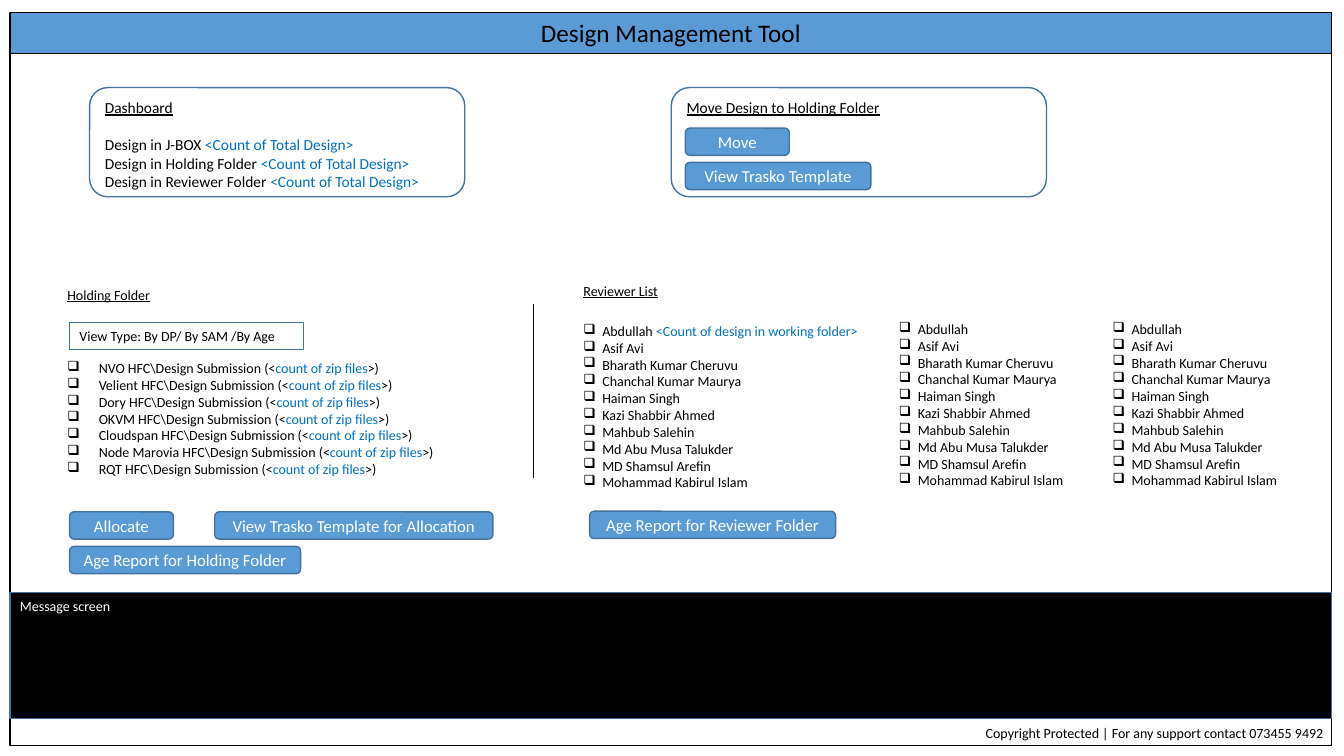
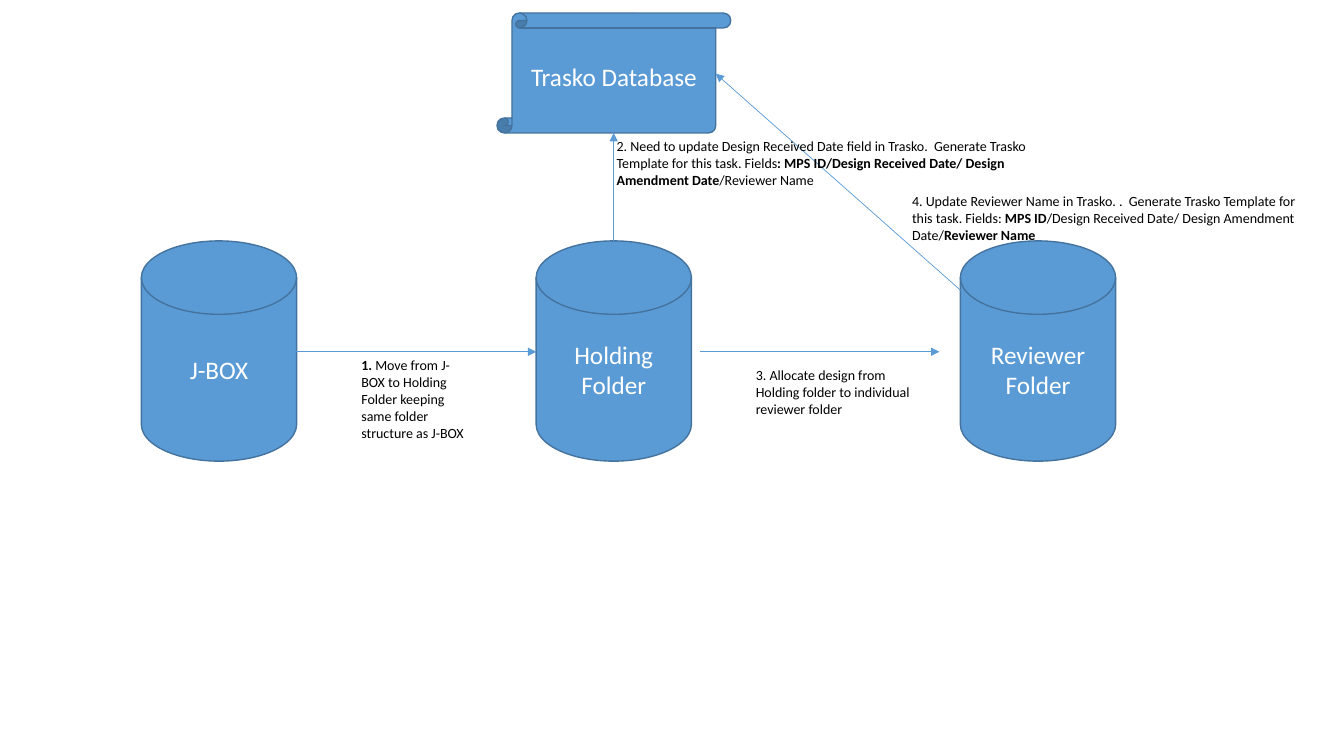
from lxml import etree
from pptx import Presentation
from pptx.dml.color import RGBColor
from pptx.enum.shapes import MSO_CONNECTOR, MSO_SHAPE
from pptx.enum.text import MSO_ANCHOR, PP_ALIGN
from pptx.oxml.ns import qn
from pptx.util import Pt

RECTANGLE = MSO_SHAPE.RECTANGLE
ROUNDED = MSO_SHAPE.ROUNDED_RECTANGLE
DISK = MSO_SHAPE.FLOWCHART_MAGNETIC_DISK
SCROLL = MSO_SHAPE.VERTICAL_SCROLL
STRAIGHT = MSO_CONNECTOR.STRAIGHT
TOP, MIDDLE = MSO_ANCHOR.TOP, MSO_ANCHOR.MIDDLE
LEFT, CENTER = PP_ALIGN.LEFT, PP_ALIGN.CENTER

BLACK = RGBColor(0x00, 0x00, 0x00)
WHITE = RGBColor(0xFF, 0xFF, 0xFF)
BLUE = RGBColor(0x5B, 0x9B, 0xD5)
OUTLINE = RGBColor(0x43, 0x73, 0x9E)
ACCENT = RGBColor(0x00, 0x70, 0xC0)

FONT = "Calibri"
SMALL, CARD, BUTTON, LARGE = 10, 11, 12, 18
CHECKBOX = "❑"
ROW_HEIGHT = 19.5

PLAIN = {}
BOLD = {"bold": True}
UNDERLINED = {"underline": True}
COUNT = {"color": ACCENT}

TITLE = "Design Management Tool"
COPYRIGHT = "Copyright Protected | For any support contact 073455 9492"
MESSAGE = "Message screen"
DASHBOARD = [[("Dashboard", UNDERLINED)]] + [
    [(f"Design in {place} ", PLAIN), ("<Count of Total Design>", COUNT)]
    for place in ("J-BOX", "Holding Folder", "Reviewer Folder")
]
MOVE_DESIGN = [[("Move Design to Holding Folder", UNDERLINED)]]
VIEW_TYPE = "View Type: By DP/ By SAM /By Age"
SUBMITTERS = ["NVO", "Velient", "Dory", "OKVM", "Cloudspan", "Node Marovia", "RQT"]
REVIEWERS = [
    "Abdullah", "Asif Avi", "Bharath Kumar Cheruvu", "Chanchal Kumar Maurya",
    "Haiman Singh", "Kazi Shabbir Ahmed", "Mahbub Salehin",
    "Md Abu Musa Talukder", "MD Shamsul Arefin", "Mohammad Kabirul Islam",
]
REVIEWER_COUNT = ("<Count of design in working folder>", COUNT)
REVIEWER_COLUMNS = [
    (409.7, 226.8, 232.6, [REVIEWER_COUNT]),
    (635, 225.4, 148.5, []),
    (787.7, 225.4, 148.5, []),
]
HEADINGS = [("Holding Folder", 41, 200.9), ("Reviewer List", 409.7, 198)]
BUTTONS = [
    ("Move", 489.6, 91.5, 74.2),
    ("View Trasko Template", 489.6, 116, 132.5),
    ("Allocate", 49.7, 365.6, 74.2),
    ("Age Report for Holding Folder", 49.7, 390.3, 165),
    ("Age Report for Reviewer Folder", 421.2, 365.2, 175.7),
    ("View Trasko Template for Allocation", 153.4, 365.6, 198.7),
]

STORES = [("J-BOX", 101), ("Holding Folder", 383), ("Reviewer Folder", 686)]
DATABASE = ("Trasko Database", (355, 9.3, 167, 85.7))
FLOWS = [
    (211.7, 251.3, 383, 251.3),
    (438.4, 172.1, 438.4, 95),
    (499.7, 251.3, 671, 251.3),
    (686.2, 207.4, 511.2, 52.6),
]
STEPS = [
    ((251, 251.3, 93, 68), [
        ("1. ", BOLD),
        ("Move from J-BOX to Holding Folder keeping same folder structure as J-BOX", PLAIN),
    ]),
    ((433.4, 95, 324, 44), [
        ("2. Need to update Design Received Date field in Trasko.  "
         "Generate Trasko Template for this task. Fields", PLAIN),
        (": MPS ID/Design Received Date/ Design Amendment Date", BOLD),
        ("/Reviewer Name", PLAIN),
    ]),
    ((532.8, 258.5, 125.3, 44), [
        ("3. Allocate design from Holding folder to individual reviewer folder", PLAIN),
    ]),
    ((644.4, 133.9, 296, 44), [
        ("4. Update Reviewer Name in Trasko. .  "
         "Generate Trasko Template for this task. Fields: ", PLAIN),
        ("MPS ID", BOLD),
        ("/Design Received Date/ Design Amendment Date/", PLAIN),
        ("Reviewer Name", BOLD),
    ]),
]


def write(shape, paragraphs, size=SMALL, color=BLACK, align=LEFT, anchor=TOP):
    frame = shape.text_frame
    frame.word_wrap = True
    frame.vertical_anchor = anchor
    for index, runs in enumerate(paragraphs):
        paragraph = frame.add_paragraph() if index else frame.paragraphs[0]
        paragraph.alignment = align
        for text, style in runs:
            run = paragraph.add_run()
            run.text = text
            values = {"name": FONT, "size": Pt(size), "color": color, **style}
            run.font.color.rgb = values.pop("color")
            for name, value in values.items():
                setattr(run.font, name, value)
    return frame


def add_box(slide, kind, box, fill=None, line=OUTLINE, weight=1):
    shape = slide.shapes.add_shape(kind, *map(Pt, box))
    shape.shadow.inherit = False
    if fill is None:
        shape.fill.background()
    else:
        shape.fill.solid()
        shape.fill.fore_color.rgb = fill
    shape.line.color.rgb = line
    shape.line.width = Pt(weight)
    return shape


def add_label(slide, kind, box, text, size):
    shape = add_box(slide, kind, box, BLUE)
    write(shape, [[(text, PLAIN)]], size, WHITE, CENTER, MIDDLE)


def add_text(slide, box, paragraphs):
    return write(slide.shapes.add_textbox(*map(Pt, box)), paragraphs)


def add_checklist(slide, box, paragraphs, indent):
    for paragraph in add_text(slide, box, paragraphs).paragraphs:
        properties = paragraph._p.get_or_add_pPr()
        properties.set("marL", str(Pt(indent)))
        properties.set("indent", str(-Pt(indent)))
        etree.SubElement(properties, qn("a:buChar"), char=CHECKBOX)


def add_line(slide, ends, color, arrow=False):
    connector = slide.shapes.add_connector(STRAIGHT, *map(Pt, ends))
    connector.line.color.rgb = color
    connector.line.width = Pt(0.5)
    if arrow:
        etree.SubElement(connector.line._get_or_add_ln(), qn("a:tailEnd"), type="triangle")
    etree.SubElement(connector._element.spPr, qn("a:effectLst"))


def build_tool(slide):
    add_box(slide, RECTANGLE, (7.2, 9.2, 944, 523.4), line=BLACK)
    title = add_box(slide, RECTANGLE, (7.2, 9, 944, 29), BLUE, BLACK, 0.75)
    write(title, [[(TITLE, PLAIN)]], LARGE, align=CENTER)
    add_text(slide, (697, 514.2, 262, ROW_HEIGHT), [[(COPYRIGHT, PLAIN)]])

    for left, paragraphs in ((64, DASHBOARD), (479.5, MOVE_DESIGN)):
        card = add_box(slide, ROUNDED, (left, 62.6, 268, 78))
        frame = write(card, paragraphs, CARD)
        if len(paragraphs) > 1:
            frame.paragraphs[0].space_after = Pt(13.4)
    message = add_box(slide, RECTANGLE, (7.2, 423.4, 944, 90), BLACK)
    write(message, [[(MESSAGE, PLAIN)]], color=WHITE)

    for text, left, top in HEADINGS:
        add_text(slide, (left, top, 259, ROW_HEIGHT), [[(text, UNDERLINED)]])
    view_type = add_box(slide, RECTANGLE, (49.7, 230.4, 167, ROW_HEIGHT), weight=0.75)
    write(view_type, [[(VIEW_TYPE, PLAIN)]])
    submissions = [
        [(f"{name} HFC\\Design Submission (<", PLAIN),
         ("count of zip files", COUNT), (">)", PLAIN)]
        for name in SUBMITTERS
    ]
    add_checklist(slide, (41, 253.4, 283, 117), submissions, 22.5)
    add_line(slide, (380.9, 217.4, 380.9, 341.3), BLACK)
    for left, top, width, extra in REVIEWER_COLUMNS:
        names = [[(name, PLAIN)] for name in REVIEWERS]
        if extra:
            names[0] = [(REVIEWERS[0] + " ", PLAIN)] + extra
        add_checklist(slide, (left, top, width, 128), names, 13.5)
    for text, left, top, width in BUTTONS:
        add_label(slide, ROUNDED, (left, top, width, ROW_HEIGHT), text, BUTTON)


def build_flow(slide):
    for text, left in STORES:
        add_label(slide, DISK, (left, 172.1, 110.9, 157.3), text, LARGE)
    text, box = DATABASE
    add_label(slide, SCROLL, box, text, LARGE)
    for ends in FLOWS:
        add_line(slide, ends, BLUE, arrow=True)
    for box, runs in STEPS:
        add_text(slide, box, [runs])


def main():
    presentation = Presentation()
    presentation.slide_width = Pt(960)
    presentation.slide_height = Pt(540)
    for build in (build_tool, build_flow):
        build(presentation.slides.add_slide(presentation.slide_layouts[6]))
    presentation.save("out.pptx")


if __name__ == "__main__":
    main()
